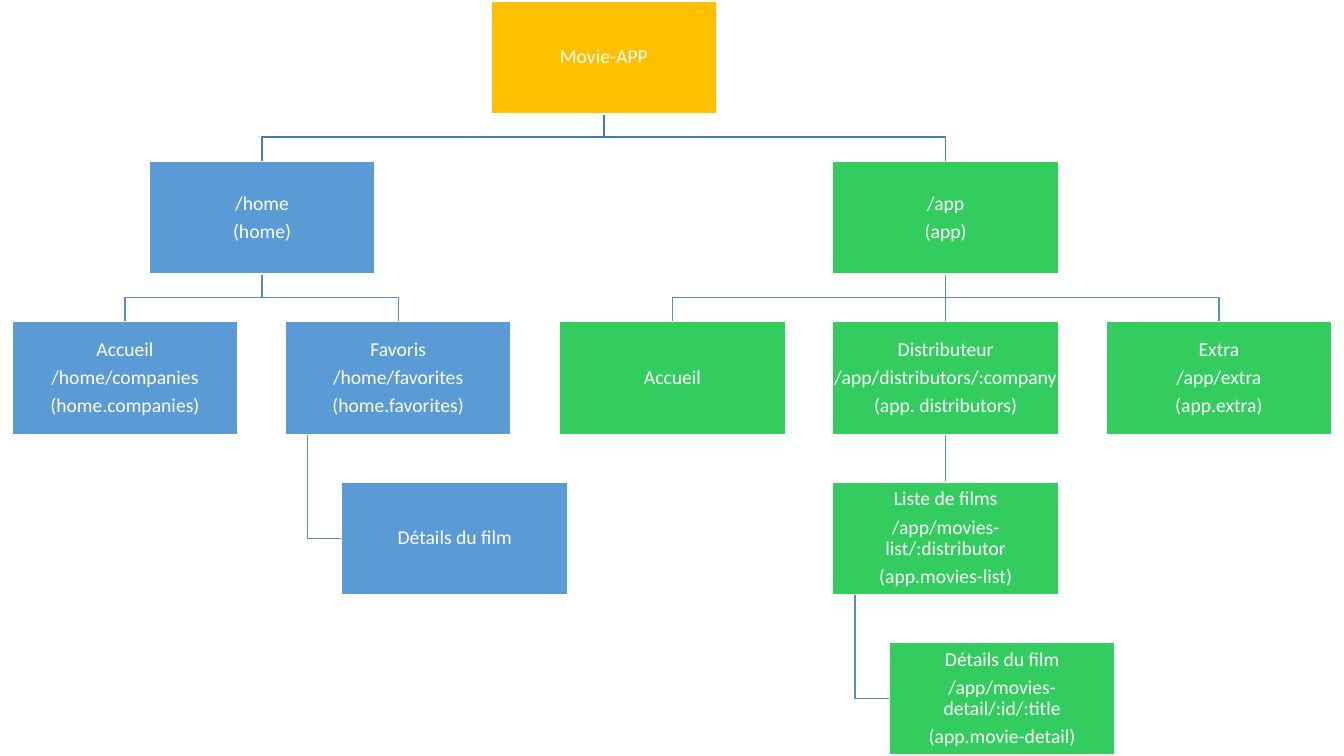
from dataclasses import dataclass

from lxml.etree import SubElement
from pptx import Presentation
from pptx.dml.color import RGBColor
from pptx.enum.shapes import MSO_CONNECTOR, MSO_SHAPE
from pptx.enum.text import MSO_ANCHOR, PP_ALIGN
from pptx.oxml.ns import qn
from pptx.shapes.shapetree import SlideShapes
from pptx.util import Pt

SCALE = 9144
WIDE, HIGH = 224, 112
STEP, PITCH = 271.3, 159
INDENT, INSET, DROP = 56, 22, 23

GOLD, BLUE, GREEN, WHITE = "FFC000", "5B9BD5", "33CD5F", "FFFFFF"
TOP_LINE, LINE = "497CAB", "538DC1"


@dataclass(frozen=True)
class Node:
    text: str
    col: float
    row: int
    fill: str
    boss: int | None = None
    hung: bool = False

    @property
    def left(self) -> int:
        return round(12 + STEP * self.col) + INDENT * self.hung

    @property
    def top(self) -> int:
        return 1 + PITCH * self.row

    @property
    def mid(self) -> int:
        return self.left + WIDE // 2

    @property
    def base(self) -> int:
        return self.top + HIGH


NODES = [
    Node("Movie-APP", 1.75, 0, GOLD),
    Node("/home\n(home)", 0.5, 1, BLUE, 0),
    Node("Accueil\n/home/companies\n(home.companies)", 0, 2, BLUE, 1),
    Node("Favoris\n/home/favorites\n(home.favorites)", 1, 2, BLUE, 1),
    Node("Détails du film", 1, 3, BLUE, 3, True),
    Node("/app\n(app)", 3, 1, GREEN, 0),
    Node("Accueil", 2, 2, GREEN, 5),
    Node("Distributeur\n/app/distributors/:company\n(app. distributors)", 3, 2, GREEN, 5),
    Node("Liste de films\n/app/movies-list/:distributor\n(app.movies-list)", 3, 3, GREEN, 7),
    Node("Détails du film\n/app/movies-detail/:id/:title\n(app.movie-detail)", 3, 4, GREEN, 8, True),
    Node("Extra\n/app/extra\n(app.extra)", 4, 2, GREEN, 5),
]


def px(size: int) -> int:
    return size * SCALE


def color(code: str) -> RGBColor:
    return RGBColor.from_string(code)


def draw_link(shapes: SlideShapes, boss: Node, node: Node) -> None:
    if not node.hung and boss.mid == node.mid:
        link = shapes.add_connector(
            MSO_CONNECTOR.STRAIGHT, px(boss.mid), px(boss.base), px(node.mid), px(node.top)
        )
        SubElement(link._element.spPr, qn("a:effectLst"))
    else:
        if node.hung:
            start = boss.left + INSET
            level = node.top + HIGH // 2
            turns = [(start, level), (node.left, level)]
        else:
            start = boss.mid
            level = boss.base + DROP
            turns = [(start, level), (node.mid, level), (node.mid, node.top)]
        pen = shapes.build_freeform(start, boss.base, SCALE)
        pen.add_line_segments(turns, close=False)
        link = pen.convert_to_shape()
        link.fill.background()
        link.shadow.inherit = False
    link.line.color.rgb = color(LINE if boss.row else TOP_LINE)
    link.line.width = Pt(1)


def draw_box(shapes: SlideShapes, node: Node) -> None:
    box = shapes.add_shape(
        MSO_SHAPE.RECTANGLE, px(node.left), px(node.top), px(WIDE), px(HIGH)
    )
    box.shadow.inherit = False
    box.fill.solid()
    box.fill.fore_color.rgb = color(node.fill)
    box.line.color.rgb = color(WHITE)
    box.line.width = Pt(1)
    frame = box.text_frame
    frame.word_wrap = True
    frame.vertical_anchor = MSO_ANCHOR.MIDDLE
    frame.margin_left = frame.margin_right = px(1)
    frame.margin_top = frame.margin_bottom = px(1)
    frame.text = node.text
    for para in frame.paragraphs:
        para.alignment = PP_ALIGN.CENTER
        para.line_spacing = 0.9
        para.space_after = Pt(4.9)
        para.font.name = "Calibri"
        para.font.size = Pt(14)
        para.font.color.rgb = color(WHITE)


def main() -> None:
    deck = Presentation()
    deck.slide_width, deck.slide_height = px(1333), px(750)
    shapes = deck.slides.add_slide(deck.slide_layouts[6]).shapes
    for node in NODES:
        if node.boss is not None:
            draw_link(shapes, NODES[node.boss], node)
    for node in NODES:
        draw_box(shapes, node)
    deck.save("out.pptx")


if __name__ == "__main__":
    main()
